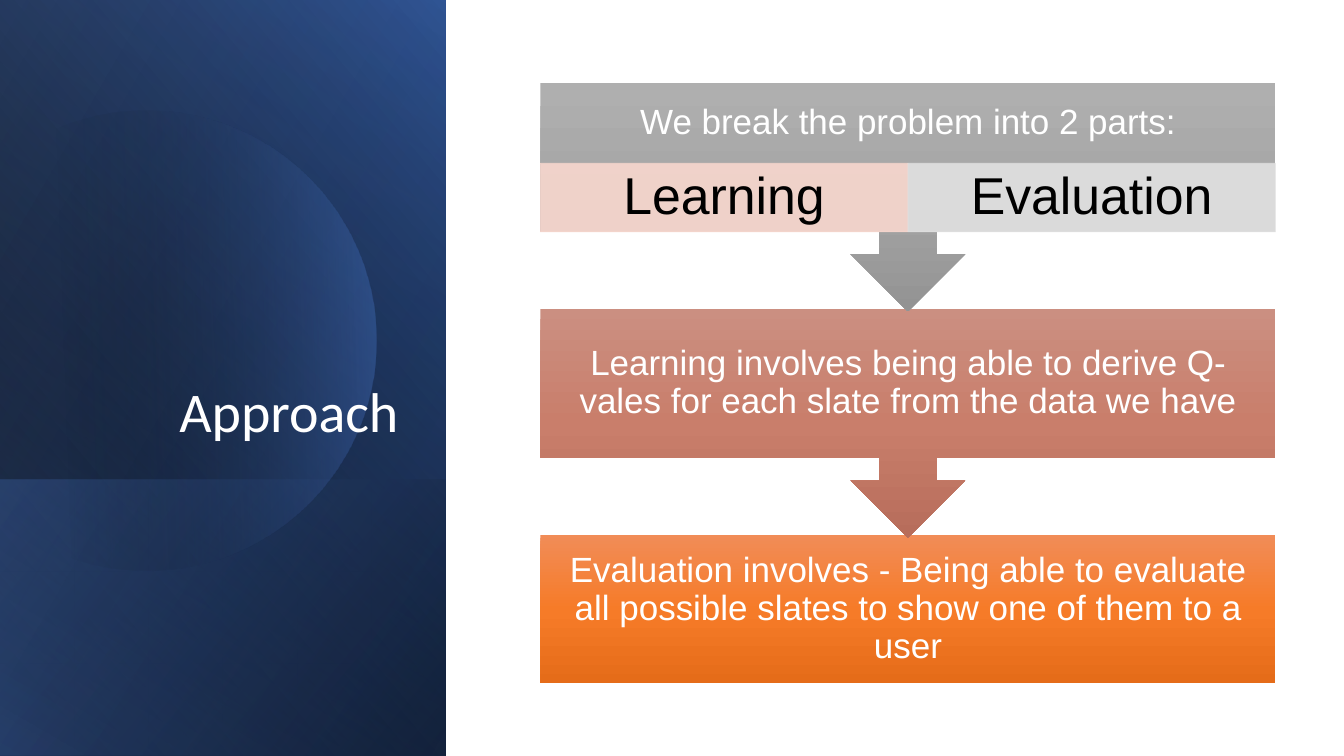
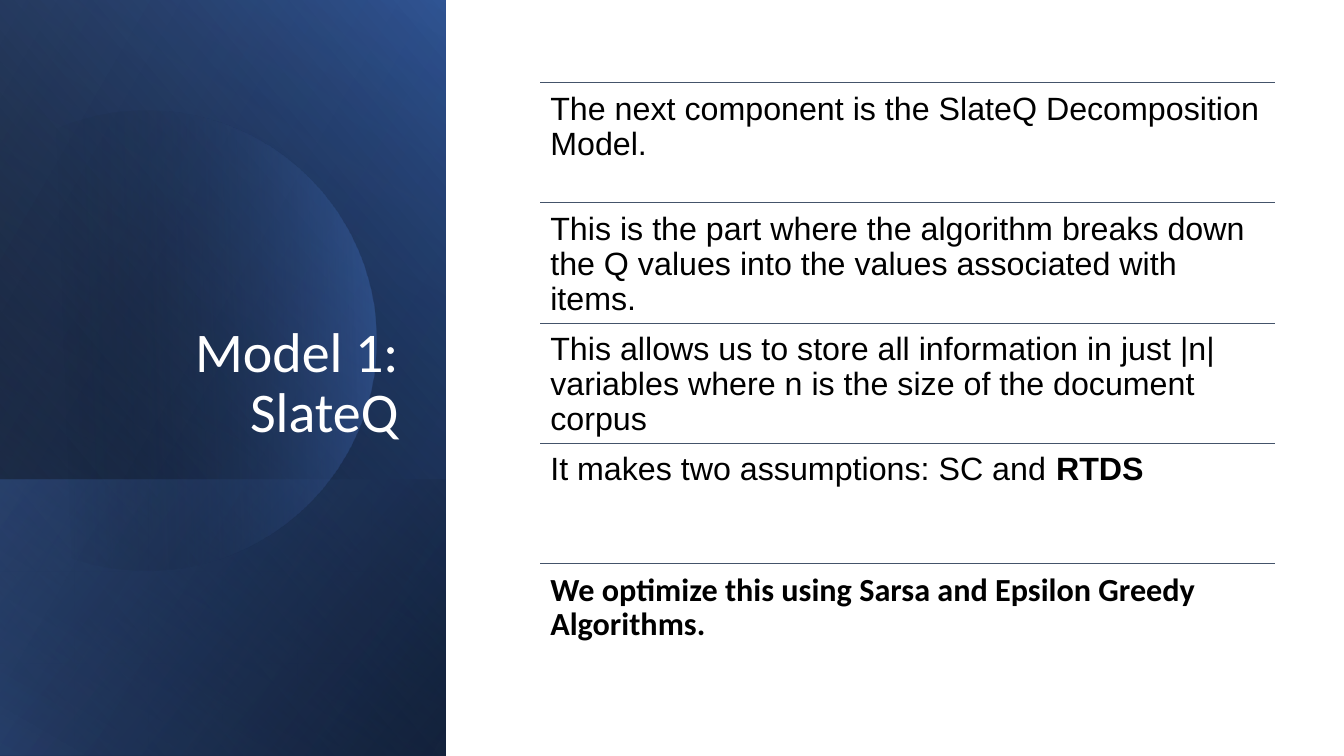
import math
from dataclasses import dataclass
from typing import NamedTuple

from lxml import etree
from pptx import Presentation, util as u
from pptx.dml.color import RGBColor
from pptx.enum import shapes, text
from pptx.oxml import ns
from pptx.shapes.autoshape import Shape
from pptx.slide import Slide
from pptx.text.text import TextFrame


@dataclass(frozen=True)
class Theme:
    white: str = "FFFFFF"
    black: str = "000000"
    blue: str = "4472C4"
    deep_blue: str = "2F5597"
    pale_blue: str = "8FAADC"
    rule: str = "44546A"
    peach: str = "F8D7CE"
    light_grey: str = "E1E1E1"
    body_font: str = "Arial"
    heading_font: str = "Calibri"
    title_size: int = 40
    step_size: int = 25
    part_size: int = 37
    row_size: int = 23


THEME = Theme()


class Box(NamedTuple):
    left: float
    top: float
    width: float
    height: float

    def emu(self) -> list[u.Length]:
        return [u.Inches(value) for value in self]


class Insets(NamedTuple):
    left: float = 0.1
    top: float = 0.05
    right: float = 0.1
    bottom: float = 0.05


class Stop(NamedTuple):
    percent: int
    color: str
    opacity: int = 100


class Gradient(NamedTuple):
    angle: int
    stops: tuple[Stop, ...]


class Layer(NamedTuple):
    box: Box
    gradient: Gradient


class TextStyle(NamedTuple):
    size: int
    color: str
    font: str = THEME.body_font
    bold: bool = False
    align: text.PP_ALIGN = text.PP_ALIGN.CENTER
    anchor: text.MSO_ANCHOR = text.MSO_ANCHOR.MIDDLE


class Step(NamedTuple):
    wording: str
    colors: tuple[str, str, str]
    insets: Insets = Insets(0.19, 0.19, 0.19, 0.19)


class Part(NamedTuple):
    wording: str
    color: str


class Row(NamedTuple):
    wording: str
    bold_ending: str = ""
    font: str = THEME.body_font
    bold: bool = False


PANEL = Box(0, 0, 4.42, 7.5)
CONTENT = Box(5.36, 0.82, 7.29, 5.96)
TITLE_BOX = Box(0.64, 1.84, 3.41, 2.62)
CIRCLE_X, CIRCLE_Y, CIRCLE_RADIUS = 1.45, 3.38, 2.28

LAYERS_BELOW = (
    Layer(PANEL, Gradient(320, (Stop(8, THEME.black), Stop(100, THEME.deep_blue)))),
    Layer(PANEL, Gradient(300, (Stop(1, THEME.blue, 46), Stop(100, THEME.black, 0)))),
    Layer(Box(0, 4.76, 4.42, 2.74),
          Gradient(40, (Stop(2, THEME.blue, 29), Stop(100, THEME.black, 30)))),
)
CIRCLE_GRADIENT = Gradient(358, (Stop(18, THEME.black, 0), Stop(100, THEME.blue, 43)))
LAYER_ABOVE = Layer(
    PANEL, Gradient(30, (Stop(1, THEME.pale_blue, 11), Stop(100, THEME.black, 0))))

STEP_HEIGHT, CALLOUT_HEIGHT = 1.47, 2.27
STEPS = (
    Step("We break the problem into 2 parts:", ("AFAFAF", "A5A5A5", "939393"),
         Insets(0.19, 0.19, 0.19, 0.86)),
    Step("Learning involves being able to derive Q-vales for each slate "
         "from the data we have", ("CB8F81", "C97E6B", "B76D5B")),
    Step("Evaluation involves - Being able to evaluate all possible slates "
         "to show one of them to a user", ("F18C57", "F67B28", "E56C19")),
)
PARTS = (Part("Learning", THEME.peach), Part("Evaluation", THEME.light_grey))
PARTS_TOP, PARTS_HEIGHT = 1.62, 0.68

ROWS = (
    Row("The next component is the SlateQ Decomposition Model."),
    Row("This is the part where the algorithm breaks down the Q values "
        "into the values associated with items."),
    Row("This allows us to store all information in just |n| variables "
        "where n is the size of the document corpus"),
    Row("It makes two assumptions: SC and ", bold_ending="RTDS"),
    Row("We optimize this using Sarsa and Epsilon Greedy Algorithms.",
        font=THEME.heading_font, bold=True),
)


def set_opacity(color: etree._Element, percent: int) -> None:
    etree.SubElement(color, ns.qn("a:alpha")).set("val", str(percent * 1000))


def fill_gradient(shape: Shape, gradient: Gradient) -> None:
    """Give the shape a linear gradient, without outline or shadow."""
    shape.shadow.inherit = False
    shape.line.fill.background()
    shape.fill.background()
    properties = shape.element.spPr
    fill = etree.Element(ns.qn("a:gradFill"), rotWithShape="1")
    stop_list = etree.SubElement(fill, ns.qn("a:gsLst"))
    for stop in gradient.stops:
        mark = etree.SubElement(stop_list, ns.qn("a:gs"), pos=str(stop.percent * 1000))
        color = etree.SubElement(mark, ns.qn("a:srgbClr"), val=stop.color)
        if stop.opacity < 100:
            set_opacity(color, stop.opacity)
    etree.SubElement(fill, ns.qn("a:lin"), ang=str(gradient.angle * 60000), scaled="0")
    properties.replace(properties.find(ns.qn("a:noFill")), fill)


def write(frame: TextFrame, wording: str, style: TextStyle,
          insets: Insets = Insets()) -> None:
    frame.word_wrap = True
    frame.vertical_anchor = style.anchor
    frame.margin_left, frame.margin_top, frame.margin_right, frame.margin_bottom = (
        u.Inches(inset) for inset in insets)
    paragraph = frame.paragraphs[0]
    paragraph.alignment = style.align
    paragraph.line_spacing = 0.9
    paragraph.font.size = u.Pt(style.size)
    paragraph.font.name = style.font
    paragraph.font.bold = style.bold
    paragraph.font.color.rgb = RGBColor.from_string(style.color)
    paragraph.add_run().text = wording


def add_layer(slide: Slide, layer: Layer) -> None:
    panel = slide.shapes.add_shape(shapes.MSO_SHAPE.RECTANGLE, *layer.box.emu())
    fill_gradient(panel, layer.gradient)


def add_circle(slide: Slide) -> None:
    """Draw the panel's circle, cut off at the left edge of the slide."""
    reach = math.acos(-CIRCLE_X / CIRCLE_RADIUS)
    steps = 90
    angles = [reach * (2 * i / steps - 1) for i in range(steps + 1)]
    points = [(u.Inches(CIRCLE_X + CIRCLE_RADIUS * math.cos(angle)),
               u.Inches(CIRCLE_Y + CIRCLE_RADIUS * math.sin(angle)))
              for angle in angles]
    outline = slide.shapes.build_freeform(*points[0])
    outline.add_line_segments(points[1:], close=True)
    fill_gradient(outline.convert_to_shape(), CIRCLE_GRADIENT)


def add_titled_slide(deck: Presentation, title: str) -> Slide:
    slide = deck.slides.add_slide(deck.slide_layouts[6])
    for layer in LAYERS_BELOW:
        add_layer(slide, layer)
    add_circle(slide)
    add_layer(slide, LAYER_ABOVE)
    heading = slide.shapes.add_textbox(*TITLE_BOX.emu())
    write(heading.text_frame, title,
          TextStyle(THEME.title_size, THEME.white, THEME.heading_font,
                    align=text.PP_ALIGN.RIGHT, anchor=text.MSO_ANCHOR.BOTTOM))
    return slide


def add_steps(slide: Slide) -> None:
    """Stack the steps from the last up, so that each arrow tip lies on top."""
    last = len(STEPS) - 1
    pitch = (CONTENT.height - STEP_HEIGHT) / last
    for index, step in reversed(list(enumerate(STEPS))):
        if index == last:
            outline, height = shapes.MSO_SHAPE.RECTANGLE, STEP_HEIGHT
        else:
            outline, height = shapes.MSO_SHAPE.DOWN_ARROW_CALLOUT, CALLOUT_HEIGHT
        box = Box(CONTENT.left, CONTENT.top + index * pitch, CONTENT.width, height)
        block = slide.shapes.add_shape(outline, *box.emu())
        stops = tuple(Stop(50 * i, color) for i, color in enumerate(step.colors))
        fill_gradient(block, Gradient(90, stops))
        write(block.text_frame, step.wording,
              TextStyle(THEME.step_size, THEME.white), step.insets)


def add_parts(slide: Slide) -> None:
    width = CONTENT.width / len(PARTS)
    for index, part in enumerate(PARTS):
        box = Box(CONTENT.left + index * width, PARTS_TOP, width, PARTS_HEIGHT)
        half = slide.shapes.add_shape(shapes.MSO_SHAPE.RECTANGLE, *box.emu())
        half.shadow.inherit = False
        half.line.width = u.Pt(0.5)
        half.fill.solid()
        half.fill.fore_color.rgb = RGBColor.from_string(part.color)
        half.line.color.rgb = RGBColor.from_string(part.color)
        for color in half.element.spPr.iter(ns.qn("a:srgbClr")):
            set_opacity(color, 90)
        write(half.text_frame, part.wording, TextStyle(THEME.part_size, THEME.black),
              Insets(0.29, 0.05, 0.29, 0.05))


def add_rule(slide: Slide, top: float) -> None:
    left, right = u.Inches(CONTENT.left), u.Inches(CONTENT.left + CONTENT.width)
    rule = slide.shapes.add_connector(
        shapes.MSO_CONNECTOR.STRAIGHT, left, u.Inches(top), right, u.Inches(top))
    rule.line.width = u.Pt(0.5)
    rule.line.color.rgb = RGBColor.from_string(THEME.rule)
    etree.SubElement(rule.element.spPr, ns.qn("a:effectLst"))


def add_rows(slide: Slide) -> None:
    height = CONTENT.height / len(ROWS)
    for index, row in enumerate(ROWS):
        box = Box(CONTENT.left, CONTENT.top + index * height, CONTENT.width, height)
        add_rule(slide, box.top)
        frame = slide.shapes.add_textbox(*box.emu()).text_frame
        write(frame, row.wording,
              TextStyle(THEME.row_size, THEME.black, row.font, row.bold,
                        text.PP_ALIGN.LEFT, text.MSO_ANCHOR.TOP),
              Insets(0.1, 0.1, 0.1, 0.1))
        if row.bold_ending:
            ending = frame.paragraphs[0].add_run()
            ending.text = row.bold_ending
            ending.font.bold = True


def main() -> None:
    deck = Presentation()
    deck.slide_width, deck.slide_height = u.Inches(13.33), u.Inches(7.5)
    approach = add_titled_slide(deck, "Approach")
    add_steps(approach)
    add_parts(approach)
    add_rows(add_titled_slide(deck, "Model 1: SlateQ"))
    deck.save("out.pptx")


if __name__ == "__main__":
    main()
